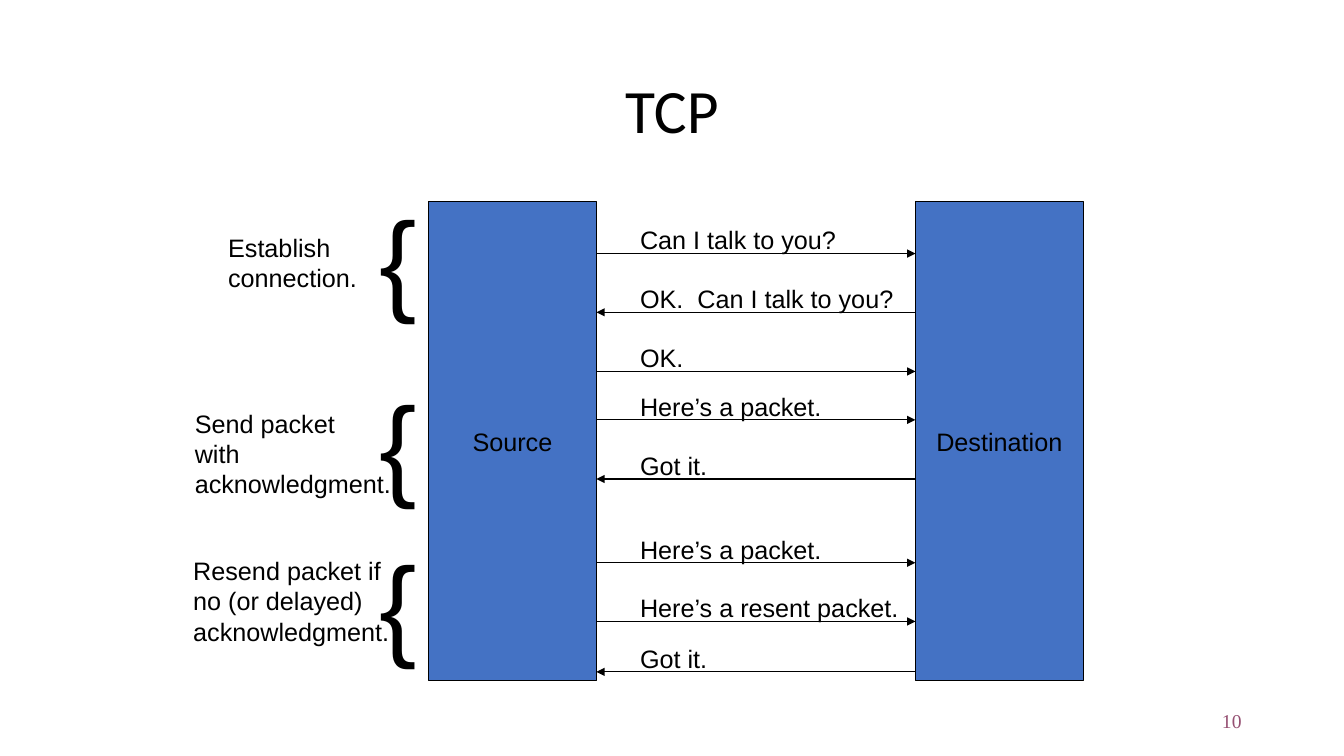
from lxml.etree import SubElement
from pptx import Presentation
from pptx.dml.color import RGBColor
from pptx.enum.shapes import MSO_CONNECTOR, MSO_SHAPE
from pptx.enum.text import MSO_ANCHOR as ANCHOR, MSO_AUTO_SIZE as AUTO, PP_ALIGN as ALIGN
from pptx.oxml.ns import qn
from pptx.util import Cm, Pt

BLACK, BLUE, PLUM = "000000", "4472C4", "954F72"
SOURCE_X, DEST_X = 10.8, 23.07
HOST_TOP, HOST_W, HOST_H = 5.08, 4.23, 12.07
LABEL_X, LABEL_RISE, LABEL_H = 15.88, 0.85, 1.02
BRACE_X, BRACE_W, BRACE_H = 9.31, 1.45, 3.63

# (line height on the slide, to destination?, text, label width)
MESSAGES = [
    (6.39, True, "Can I talk to you?", 5.46),
    (7.87, False, "OK.  Can I talk to you?", 6.91),
    (9.36, True, "OK.", 1.6),
    (10.58, True, "Here’s a packet.", 5.11),
    (12.07, False, "Got it.", 2.21),
    (14.18, True, "Here’s a packet.", 5.11),
    (15.66, True, "Here’s a resent packet.", 7.04),
    (16.93, False, "Got it.", 2.21),
]

# (left, top, width, height, lines, brace top)
PHASES = [
    (5.5, 5.72, 3.76, 1.78, ["Establish", "connection."], 4.66),
    (4.66, 10.16, 5.46, 2.54, ["Send packet", "with", "acknowledgment."], 9.31),
    (4.62, 13.87, 5.46, 2.54,
     ["Resend packet if", "no (or delayed)", "acknowledgment."], 13.34),
]


def rgb(hex_color):
    return RGBColor.from_string(hex_color)


def write(tf, lines, size=18, font="Arial", color=BLACK, align=ALIGN.LEFT):
    for i, line in enumerate(lines):
        p = tf.add_paragraph() if i else tf.paragraphs[0]
        p.text = line
        p.alignment = align
        p.font.size = Pt(size)
        p.font.name = font
        p.font.color.rgb = rgb(color)


def add_box(s, x, y, w, h):
    return s.shapes.add_textbox(Cm(x), Cm(y), Cm(w), Cm(h)).text_frame


def add_label(s, x, y, w, h, lines, size=18):
    tf = add_box(s, x, y, w, h)
    tf.word_wrap = False
    tf.auto_size = AUTO.SHAPE_TO_FIT_TEXT
    write(tf, lines, size)


def add_heading(s, x, y, w, h, text, size, font, color, align):
    tf = add_box(s, x, y, w, h)
    tf.word_wrap = True
    tf.vertical_anchor = ANCHOR.MIDDLE
    write(tf, [text], size, font, color, align)
    return tf


def add_host(s, x, name):
    sp = s.shapes.add_shape(MSO_SHAPE.RECTANGLE, Cm(x), Cm(HOST_TOP), Cm(HOST_W), Cm(HOST_H))
    sp.shadow.inherit = False
    sp.fill.solid()
    sp.fill.fore_color.rgb = rgb(BLUE)
    sp.line.color.rgb = rgb(BLACK)
    sp.line.width = Pt(0.75)
    tf = sp.text_frame
    tf.word_wrap = False
    tf.vertical_anchor = ANCHOR.MIDDLE
    write(tf, [name], align=ALIGN.CENTER)


def add_arrow(s, x1, x2, y):
    line = s.shapes.add_connector(MSO_CONNECTOR.STRAIGHT, Cm(x1), Cm(y), Cm(x2), Cm(y))
    line.line.color.rgb = rgb(BLACK)
    line.line.width = Pt(0.75)
    SubElement(line.line._get_or_add_ln(), qn("a:tailEnd"), type="triangle")
    SubElement(line._element.spPr, qn("a:effectLst"))


def add_message(s, y, to_dest, text, width):
    ends = (SOURCE_X + HOST_W, DEST_X)
    add_arrow(s, *(ends if to_dest else ends[::-1]), y)
    add_label(s, LABEL_X, y - LABEL_RISE, width, LABEL_H, [text])


def main():
    prs = Presentation()
    prs.slide_width, prs.slide_height = Cm(33.87), Cm(19.05)
    s = prs.slides.add_slide(prs.slide_layouts[6])

    # Title and page number
    title = add_heading(s, 2.33, 1.01, 29.21, 3.68, "TCP", 44, "Calibri", BLACK, ALIGN.CENTER)
    title.paragraphs[0].line_spacing = 0.9
    add_heading(s, 23.92, 17.66, 7.62, 1.01, "10", 14, "Times New Roman", PLUM, ALIGN.RIGHT)

    # The two hosts
    add_host(s, SOURCE_X, "Source")
    add_host(s, DEST_X, "Destination")

    # Messages between them
    for message in MESSAGES:
        add_message(s, *message)

    # Phases with their braces
    for x, y, w, h, lines, brace_y in PHASES:
        add_label(s, x, y, w, h, lines)
        add_label(s, BRACE_X, brace_y, BRACE_W, BRACE_H, ["{"], 80)

    prs.save("out.pptx")


if __name__ == "__main__":
    main()
